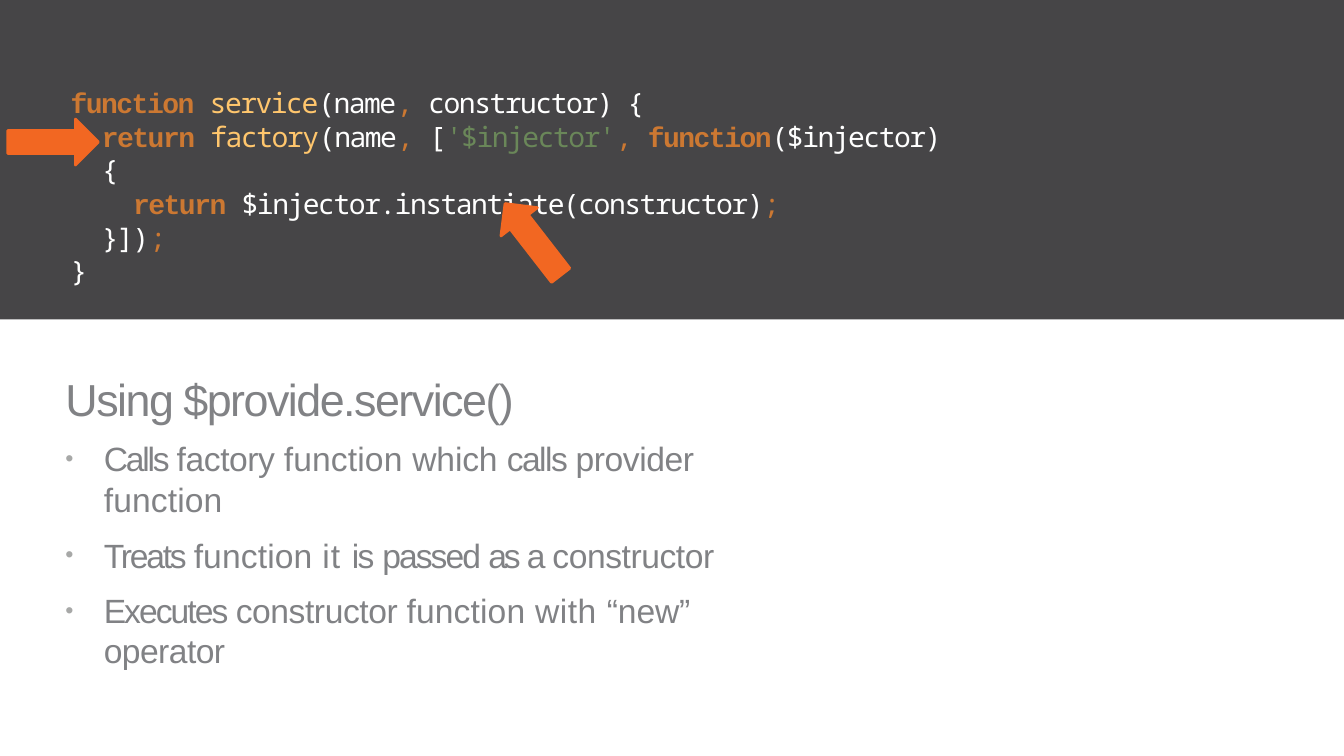
from lxml import etree
from pptx import Presentation
from pptx.dml.color import RGBColor
from pptx.enum.shapes import MSO_SHAPE
from pptx.enum.text import MSO_AUTO_SIZE
from pptx.oxml.ns import qn
from pptx.util import Inches, Pt

RECTANGLE = MSO_SHAPE.RECTANGLE
RIGHT_ARROW = MSO_SHAPE.RIGHT_ARROW
GROW = MSO_AUTO_SIZE.SHAPE_TO_FIT_TEXT
WIDTH, HEIGHT = Inches(13.33), Inches(7.5)
COLUMNS, ROWS = 40, 24
LINE_HEIGHT = 1.2
PANEL, ORANGE, GREY, BULLET = "464547", "F26722", "818285", "A7A8A7"
CODE_COLORS = {
    "keyword": "CC7832",
    "mark": "CC7832",
    "name": "FFC66D",
    "string": "6A8759",
    "plain": "FFFFFF",
}
CODE = [
    (0, [("function ", "keyword"), ("service", "name"), ("(name", "plain"),
         (", ", "mark"), ("constructor) {", "plain")]),
    (1, [("return ", "keyword"), ("factory", "name"), ("(name", "plain"),
         (", ", "mark"), ("[", "plain"), ("'$injector'", "string"),
         (", ", "mark"), ("function", "keyword"), ("($injector) {", "plain")]),
    (2, [("return ", "keyword"), ("$injector.instantiate(constructor)", "plain"),
         (";", "mark")]),
    (1, [("}])", "plain"), (";", "mark")]),
    (0, [("}", "plain")]),
]
TITLE = "Using $provide.service()"
POINTS = [
    (8.9, [("Calls ", -1.6), ("factory ", -0.3), ("function ", 0.1), ("which ", -0.1),
           ("calls ", -1.1), ("provider ", -0.3), ("function", 0.1)]),
    (11.1, [("Treats ", -1.6), ("function ", 0.1), ("it ", 0.8), ("is ", -1.1),
            ("passed ", -1.4), ("as ", -2.2), ("a ", -1.8), ("constructor", -0.3)]),
    (10.9, [("Executes ", -1.4), ("constructor ", -0.3), ("function ", 0.1),
            ("with ", 0.4), ("“new” ", -0.1), ("operator", -0.4)]),
]


def color(hex_string):
    """Return the colour for a hex string."""
    return RGBColor.from_string(hex_string)


def grid(left, top, width, height):
    """Turn a box in columns and rows into slide lengths."""
    column, row = WIDTH / COLUMNS, HEIGHT / ROWS
    return int(left * column), int(top * row), int(width * column), int(height * row)


def add_filled_shape(slide, kind, box, fill):
    """Add a flat preset shape without an outline."""
    shape = slide.shapes.add_shape(kind, *grid(*box))
    shape.shadow.inherit = False
    shape.fill.solid()
    shape.fill.fore_color.rgb = color(fill)
    shape.line.fill.background()
    return shape


def add_text_frame(slide, box):
    """Add a wrapping text box without insets and return its frame."""
    frame = slide.shapes.add_textbox(*grid(*box)).text_frame
    frame.word_wrap = True
    frame.auto_size = GROW
    frame.margin_left = frame.margin_top = frame.margin_right = frame.margin_bottom = 0
    return frame


def next_paragraph(frame, first):
    """Return the first paragraph of a frame or a new one."""
    return frame.paragraphs[0] if first else frame.add_paragraph()


def set_layout(paragraph, size, left, hanging=0):
    """Set the indents and the fixed line height of a paragraph."""
    properties = paragraph._p.get_or_add_pPr()
    properties.set("marL", str(Inches(left)))
    properties.set("indent", str(-Inches(hanging)))
    paragraph.line_spacing = Pt(size * LINE_HEIGHT)


def add_run(paragraph, text, spacing):
    """Add a run with letter spacing in points."""
    run = paragraph.add_run()
    run.text = text
    run._r.get_or_add_rPr().set("spc", str(round(spacing * 100)))
    return run


def add_bullet(paragraph, tab):
    """Give a paragraph a small pale bullet and a tab stop."""
    properties = paragraph._p.get_or_add_pPr()
    bullet_color = etree.SubElement(properties, qn("a:buClr"))
    etree.SubElement(bullet_color, qn("a:srgbClr"), val=BULLET)
    etree.SubElement(properties, qn("a:buSzPct"), val="69000")
    etree.SubElement(properties, qn("a:buFont"), typeface="Arial")
    etree.SubElement(properties, qn("a:buChar"), char="•")
    tabs = etree.SubElement(properties, qn("a:tabLst"))
    etree.SubElement(tabs, qn("a:tab"), pos=str(Inches(tab)), algn="l")


def set_font(paragraph, size):
    """Set the grey body font of a paragraph."""
    paragraph.font.name = "Arial"
    paragraph.font.size = Pt(size)
    paragraph.font.color.rgb = color(GREY)


def add_code(slide, box):
    """Add the coloured code listing."""
    frame = add_text_frame(slide, box)
    for index, (level, parts) in enumerate(CODE):
        paragraph = next_paragraph(frame, index == 0)
        set_layout(paragraph, 20, 0.01 + 0.31 * level)
        paragraph.font.size = Pt(20)
        for text, role in parts:
            font = add_run(paragraph, text, -1.1).font
            font.bold = role == "keyword"
            font.name = "Courier New" if font.bold else "Noto Sans Mono"
            font.color.rgb = color(CODE_COLORS[role])


def add_explanation(slide, box):
    """Add the heading and its bullet points."""
    frame = add_text_frame(slide, box)
    heading = next_paragraph(frame, True)
    set_layout(heading, 32, 0.01)
    set_font(heading, 32)
    add_run(heading, TITLE, -1.1)
    for space_before, parts in POINTS:
        paragraph = next_paragraph(frame, False)
        add_bullet(paragraph, 0.39)
        set_layout(paragraph, 24, 0.39, 0.38)
        paragraph.space_before = Pt(space_before)
        set_font(paragraph, 24)
        for text, spacing in parts:
            add_run(paragraph, text, spacing)


def add_arrow(slide, center_column, center_row, rotation):
    """Add a block arrow around a centre point."""
    width, height = 2.7, 1.46
    box = (center_column - width / 2, center_row - height / 2, width, height)
    arrow = add_filled_shape(slide, RIGHT_ARROW, box, ORANGE)
    arrow.line.color.rgb = color(ORANGE)
    arrow.line.width = Pt(2)
    arrow.rotation = rotation


def build_slide(presentation):
    """Add the slide about the service function."""
    slide = presentation.slides.add_slide(presentation.slide_layouts[6])
    add_filled_shape(slide, RECTANGLE, (0, 0, COLUMNS, 10.14), PANEL)
    add_code(slide, (2.07, 2.72, 26.67, 5.44))
    add_explanation(slide, (1.92, 11.81, 22.26, 6.98))
    add_arrow(slide, 1.58, 4.51, 0)
    add_arrow(slide, 15.86, 7.6, 232.2)


def main():
    """Build and save the presentation."""
    presentation = Presentation()
    presentation.slide_width, presentation.slide_height = WIDTH, HEIGHT
    build_slide(presentation)
    presentation.save("out.pptx")


if __name__ == "__main__":
    main()
